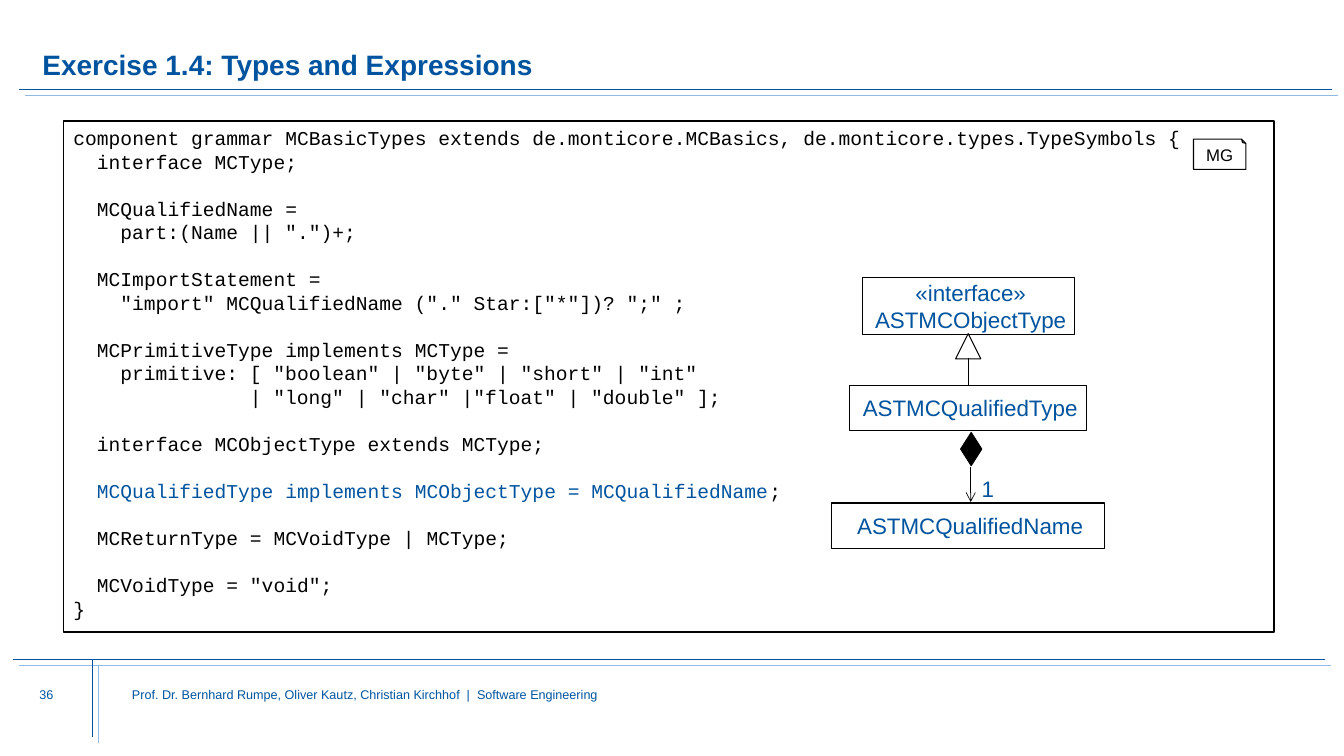
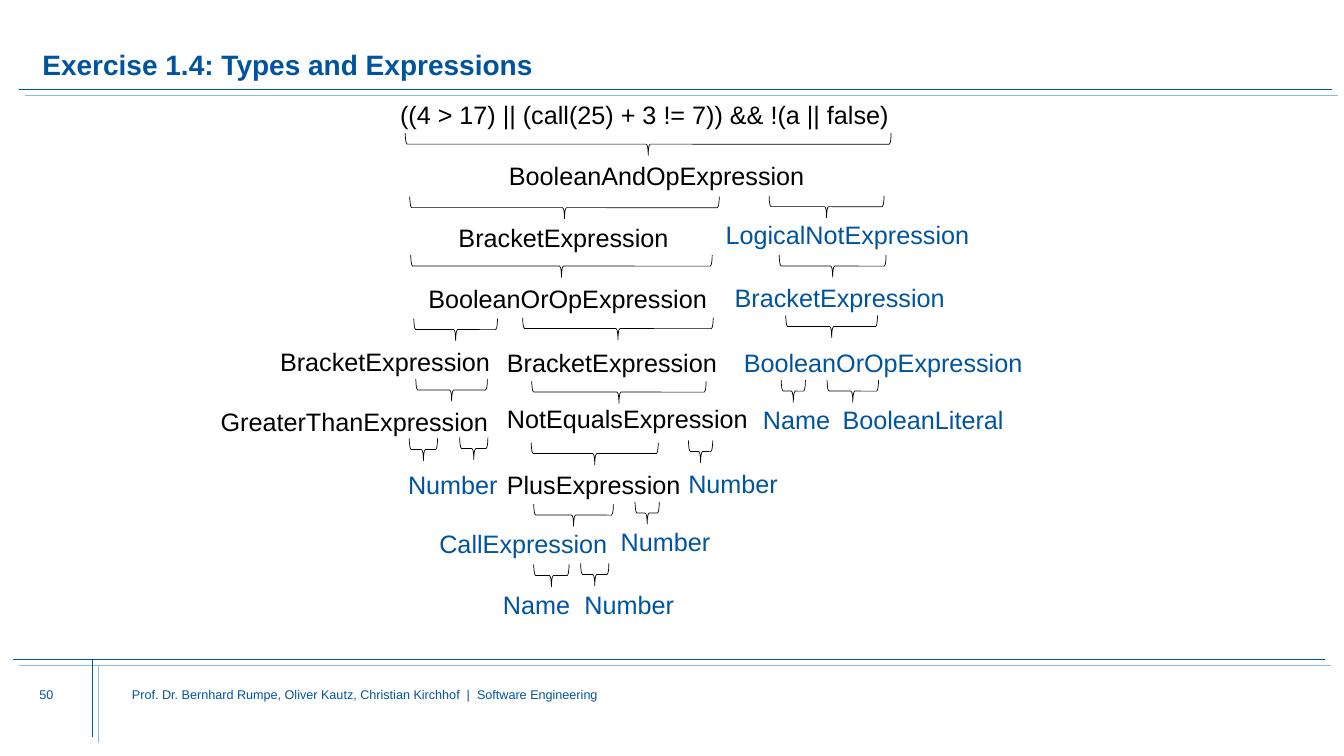
import pptx
import pptx.util
import pptx.dml.color
import pptx.enum.shapes
import pptx.enum.text
import pptx.oxml.ns
import lxml.etree

Inches, Pt = pptx.util.Inches, pptx.util.Pt
PRESET = pptx.enum.shapes.MSO_SHAPE
ALIGN = pptx.enum.text.PP_ALIGN
ANCHOR = pptx.enum.text.MSO_ANCHOR
COLORS = {
    name: pptx.dml.color.RGBColor.from_string(value)
    for name, value in {
        "blue": "00549F", "light blue": "8EBAE5", "black": "000000", "white": "FFFFFF",
    }.items()
}
TITLE = "Exercise 1.4: Types and Expressions"
FOOTER = "Prof. Dr. Bernhard Rumpe, Oliver Kautz, Christian Kirchhof  |  Software Engineering"
FRAME_LINES = [
    ((0.19, 0.89), (13.21, 0.89)),
    ((0.13, 6.54), (13.14, 6.54)),
    ((0.92, 6.54), (0.92, 7.31)),
]
FRAME_OFFSET = 0.06


def add_line(slide, start, end, color):
    """Draw a thin straight line without a shadow and return it."""
    line = slide.shapes.add_connector(
        pptx.enum.shapes.MSO_CONNECTOR.STRAIGHT, *map(Inches, start + end))
    line.line.color.rgb = COLORS[color]
    line.line.width = Pt(0.5)
    lxml.etree.SubElement(line._element.spPr, pptx.oxml.ns.qn("a:effectLst"))
    return line


def write_text(shape, text, size, color, align=ALIGN.LEFT, anchor=ANCHOR.TOP,
               insets=(0.1, 0.05, 0.1, 0.05), wrap=True, font="Arial"):
    """Fill a shape with evenly formatted paragraphs, one per line of text."""
    frame = shape.text_frame
    frame.text = text
    frame.word_wrap = wrap
    frame.auto_size = pptx.enum.text.MSO_AUTO_SIZE.NONE
    frame.vertical_anchor = anchor
    (frame.margin_left, frame.margin_top,
     frame.margin_right, frame.margin_bottom) = map(Inches, insets)
    for paragraph in frame.paragraphs:
        paragraph.alignment = align
        paragraph.font.name = font
        paragraph.font.size = Pt(size)
        paragraph.font.color.rgb = COLORS[color]
    return frame


presentation = pptx.Presentation()
presentation.slide_width = Inches(13.333)
presentation.slide_height = Inches(7.5)

# Shared frame: title, double lines, page number and footer
NO_INSETS = (0, 0, 0, 0)
slides = []
for page in ("36", "50"):
    slide = presentation.slides.add_slide(presentation.slide_layouts[5])
    for (x1, y1), (x2, y2) in FRAME_LINES:
        add_line(slide, (x1, y1), (x2, y2), "blue")
        add_line(slide, (x1 + FRAME_OFFSET, y1 + FRAME_OFFSET),
                 (x2 + FRAME_OFFSET, y2 + FRAME_OFFSET), "light blue")
    title = slide.shapes.title
    title.left, title.top, title.width, title.height = map(Inches, (0.42, 0.22, 12.56, 0.59))
    heading = write_text(title, TITLE, 20, "blue", anchor=ANCHOR.BOTTOM,
                         insets=NO_INSETS).paragraphs[0]
    heading.font.bold = True
    heading.line_spacing = 0.9
    for left, width, text in ((0.39, 0.8, page), (1.31, 7.66, FOOTER)):
        box = slide.shapes.add_textbox(*map(Inches, (left, 6.81, width, 0.43)))
        write_text(box, text, 9, "blue", insets=NO_INSETS)
    slides.append(slide)
grammar_slide, tree_slide = slides

# Grammar listing: empty lines become spacing, leading blanks become indents
GRAMMAR = """\
component grammar MCBasicTypes extends de.monticore.MCBasics, de.monticore.types.TypeSymbols {
  interface MCType;

  MCQualifiedName =
    part:(Name || ".")+;

  MCImportStatement =
    "import" MCQualifiedName ("." Star:["*"])? ";" ;

  MCPrimitiveType implements MCType =
    primitive: [ "boolean" | "byte" | "short" | "int"
               | "long" | "char" |"float" | "double" ];

  interface MCObjectType extends MCType;

  MCQualifiedType implements MCObjectType = MCQualifiedName

  MCReturnType = MCVoidType | MCType;

  MCVoidType = "void";
}"""
LINE_HEIGHT, COLUMN_WIDTH = Pt(16.8), Pt(8.4)
listing = grammar_slide.shapes.add_shape(
    PRESET.RECTANGLE, *map(Inches, (0.63, 1.2, 12.01, 5.07)))
listing.shadow.inherit = False
listing.fill.background()
listing.line.color.rgb = COLORS["black"]
listing.line.width = Pt(1)
lines = GRAMMAR.split("\n")
code_lines = [(line, index > 0 and not lines[index - 1])
              for index, line in enumerate(lines) if line]
frame = write_text(listing, "\n".join(line.strip() for line, _ in code_lines),
                   14, "black", font="Courier New")
for paragraph, (line, after_gap) in zip(frame.paragraphs, code_lines):
    columns = len(line) - len(line.lstrip())
    paragraph._p.get_or_add_pPr().set("marL", str(columns * COLUMN_WIDTH))
    paragraph.line_spacing = LINE_HEIGHT
    paragraph.space_before = LINE_HEIGHT if after_gap else Pt(0)
    if line.strip().startswith("MCQualifiedType"):
        paragraph.font.color.rgb = COLORS["blue"]
        semicolon = paragraph.add_run()
        semicolon.text = ";"
        semicolon.font.color.rgb = COLORS["black"]

# Class diagram and the note sheet that marks the grammar
DIAGRAM = [
    (PRESET.RECTANGLE, (8.56, 2.75, 2.1, 0.57), "white", "«interface»\nASTMCObjectType"),
    (PRESET.RECTANGLE, (8.43, 3.82, 2.35, 0.45), "white", "ASTMCQualifiedType"),
    (PRESET.RECTANGLE, (8.25, 4.99, 2.71, 0.45), "white", "ASTMCQualifiedName"),
    (PRESET.ISOSCELES_TRIANGLE, (9.48, 3.31, 0.25, 0.25), "white", ""),
    (PRESET.DIAMOND, (9.53, 4.29, 0.21, 0.33), "black", ""),
    (PRESET.FOLDED_CORNER, (11.84, 1.38, 0.52, 0.3), "white", ""),
]
for preset, place, fill, text in DIAGRAM:
    shape = grammar_slide.shapes.add_shape(preset, *map(Inches, place))
    shape.shadow.inherit = False
    shape.fill.solid()
    shape.fill.fore_color.rgb = COLORS[fill]
    shape.line.color.rgb = COLORS["black"]
    shape.line.width = Pt(0.75)
    if text:
        write_text(shape, text, 16, "blue", ALIGN.CENTER, ANCHOR.MIDDLE, (0.08, 0, 0.04, 0))
    if preset == PRESET.FOLDED_CORNER:
        properties = shape._element.spPr
        fold = next(properties.iter(pptx.oxml.ns.qn("a:avLst")))
        lxml.etree.SubElement(fold, pptx.oxml.ns.qn("a:gd"), name="adj", fmla="val 14200")
        shape.rotation = 180
        properties.xfrm.set("flipH", "1")

add_line(grammar_slide, (9.61, 3.55), (9.61, 3.82), "black")
association = add_line(grammar_slide, (9.63, 4.63), (9.63, 4.98), "black")
lxml.etree.SubElement(association.line._get_or_add_ln(),
                      pptx.oxml.ns.qn("a:tailEnd"), type="arrow")
multiplicity = grammar_slide.shapes.add_textbox(*map(Inches, (9.64, 4.66, 0.33, 0.37)))
write_text(multiplicity, "1", 16, "blue", wrap=False)
note_label = grammar_slide.shapes.add_textbox(*map(Inches, (11.84, 1.39, 0.52, 0.3)))
write_text(note_label, "MG", 12, "black", ALIGN.CENTER, ANCHOR.MIDDLE)

# Expression tree: label, colour, label (left, top, width), brace (centre, top, width)
BRACE_HEIGHT = 0.22
TREE = [
    ("((4 > 17) || (call(25) + 3 != 7)) && !(a || false)", "black", (3.87, 0.94, 5.05), None),
    ("BooleanAndOpExpression", "black", (4.95, 1.54, 3.16), (6.43, 1.32, 4.82)),
    ("BracketExpression", "black", (4.45, 2.16, 2.31), (5.6, 1.95, 3.07)),
    ("BooleanOrOpExpression", "black", (4.15, 2.76, 2.99), (5.57, 2.53, 2.99)),
    ("BracketExpression", "black", (2.68, 3.39, 2.31), (4.52, 3.16, 0.83)),
    ("GreaterThanExpression", "black", (2.09, 3.98, 2.88), (4.48, 3.76, 0.71)),
    ("Number", "blue", (3.95, 4.61, 1.1), (4.2, 4.35, 0.28)),
    # The second operand of the comparison shares the label before it
    ("", "blue", None, (4.7, 4.34, 0.28)),
    ("BracketExpression", "black", (4.93, 3.4, 2.31), (6.13, 3.15, 1.89)),
    ("NotEqualsExpression", "black", (4.93, 3.95, 2.61), (6.14, 3.78, 1.73)),
    ("PlusExpression", "black", (4.93, 4.61, 1.94), (5.9, 4.39, 1.26)),
    ("Number", "blue", (6.73, 4.6, 1.1), (6.95, 4.37, 0.24)),
    ("CallExpression", "blue", (4.26, 5.19, 1.88), (5.69, 5.0, 0.79)),
    ("Number", "blue", (6.06, 5.17, 1.1), (6.42, 4.98, 0.24)),
    ("Name", "blue", (4.89, 5.8, 0.88), (5.47, 5.6, 0.35)),
    ("Number", "blue", (5.7, 5.8, 1.1), (5.9, 5.59, 0.28)),
    ("LogicalNotExpression", "blue", (7.1, 2.13, 2.64), (8.2, 1.94, 1.14)),
    ("BracketExpression", "blue", (7.19, 2.75, 2.31), (8.26, 2.53, 1.06)),
    ("BooleanOrOpExpression", "blue", (7.28, 3.4, 2.99), (8.25, 3.13, 0.91)),
    ("Name", "blue", (7.47, 3.96, 0.88), (7.87, 3.77, 0.24)),
    ("BooleanLiteral", "blue", (8.26, 3.96, 1.81), (8.46, 3.77, 0.51)),
]
for text, color, label_place, brace_place in TREE:
    if label_place:
        label = tree_slide.shapes.add_textbox(*map(Inches, label_place + (0.4,)))
        write_text(label, text, 18, color, wrap=False)
    if brace_place:
        centre, top, width = brace_place
        # A quarter turn swaps width and height around the centre
        brace = tree_slide.shapes.add_shape(PRESET.RIGHT_BRACE, *map(Inches, (
            centre - BRACE_HEIGHT / 2, top + BRACE_HEIGHT / 2 - width / 2,
            BRACE_HEIGHT, width)))
        brace.rotation = 90
        brace.shadow.inherit = False
        brace.fill.background()
        brace.line.color.rgb = COLORS["black"]
        brace.line.width = Pt(0.5)

presentation.save("out.pptx")
